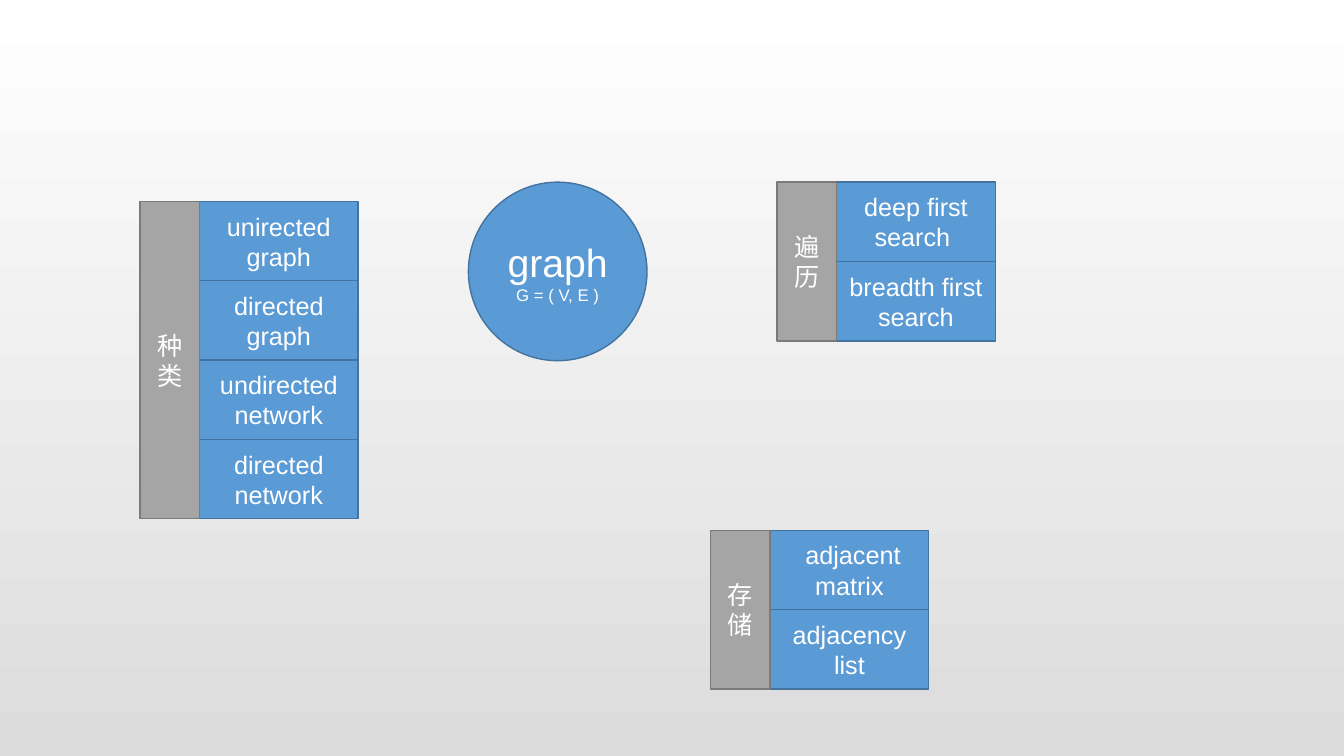
from dataclasses import dataclass

from pptx import Presentation
from pptx.dml.color import RGBColor
from pptx.enum.shapes import MSO_SHAPE
from pptx.enum.text import MSO_ANCHOR, PP_ALIGN
from pptx.util import Cm, Inches, Pt


@dataclass(frozen=True)
class Theme:
    """Colours, type sizes and grid of the slide."""
    font: str = "Arial"
    text: str = "FFFFFF"
    blue: tuple = ("5B9BD5", "43739E")
    grey: tuple = ("A5A5A5", "7A7A7A")
    backdrop: tuple = ("FFFFFF", "DCDCDC")
    title: int = 28
    body: int = 18
    note: int = 12
    line: int = 1
    step: float = 0.5  # grid step in centimetres


class Sketch:
    """Draws elements on one page, measured in grid columns and rows."""

    LABEL_COLUMNS, CELL_COLUMNS, CELL_ROWS = 3, 8, 4

    def __init__(self, page, theme):
        """Keep the page and its style."""
        self.page, self.theme = page, theme

    def backdrop(self):
        """Fill the page with a gradient from top to bottom."""
        fill = self.page.background.fill
        fill.gradient()
        fill.gradient_angle = 270
        for position, (stop, colour) in enumerate(zip(fill.gradient_stops, self.theme.backdrop)):
            stop.position = position
            stop.color.rgb = RGBColor.from_string(colour)

    def box(self, shapes, kind, area, colours, lines):
        """Add a filled shape with centred lines of (text, size)."""
        box = shapes.add_shape(kind, *(Cm(self.theme.step * length) for length in area))
        fill_colour, line_colour = map(RGBColor.from_string, colours)
        box.shadow.inherit = False
        box.fill.solid()
        box.fill.fore_color.rgb = fill_colour
        box.line.color.rgb = line_colour
        box.line.width = Pt(self.theme.line)
        frame = box.text_frame
        frame.word_wrap = True
        frame.vertical_anchor = MSO_ANCHOR.MIDDLE
        for index, (text, size) in enumerate(lines):
            para = frame.add_paragraph() if index else frame.paragraphs[0]
            para.alignment = PP_ALIGN.CENTER
            span = para.add_run()
            span.text = text
            span.font.name = self.theme.font
            span.font.size = Pt(size)
            span.font.color.rgb = RGBColor.from_string(self.theme.text)

    def circle(self, column, row, size, lines):
        """Add a blue circle."""
        self.box(self.page.shapes, MSO_SHAPE.OVAL, (column, row, size, size),
                 self.theme.blue, lines)

    def stack(self, column, row, label, items):
        """Add a group: a grey label beside a stack of blue cells."""
        shapes = self.page.shapes.add_group_shape().shapes
        for index, item in enumerate(items):
            area = (column + self.LABEL_COLUMNS, row + index * self.CELL_ROWS,
                    self.CELL_COLUMNS, self.CELL_ROWS)
            self.box(shapes, MSO_SHAPE.RECTANGLE, area, self.theme.blue,
                     [(item, self.theme.body)])
        area = (column, row, self.LABEL_COLUMNS, len(items) * self.CELL_ROWS)
        self.box(shapes, MSO_SHAPE.RECTANGLE, area, self.theme.grey,
                 [(label, self.theme.body)])


STACKS = [
    (7.05, 10.15, "种类", ["unirected graph", "directed graph",
                         "undirected network", "directed network"]),
    (39.15, 9.18, "遍历", ["deep first search ", "breadth first search"]),
    (35.8, 26.73, "存储", [" adjacent matrix", "adjacency list"]),
]


def main():
    """Build and save the deck."""
    deck = Presentation()
    deck.slide_width, deck.slide_height = Inches(13.33), Inches(7.5)
    theme = Theme()
    sketch = Sketch(deck.slides.add_slide(deck.slide_layouts[6]), theme)
    sketch.backdrop()
    sketch.circle(23.6, 9.18, 9, [("graph", theme.title), ("G = ( V, E )", theme.note)])
    for stack in STACKS:
        sketch.stack(*stack)
    deck.save("out.pptx")


main()
